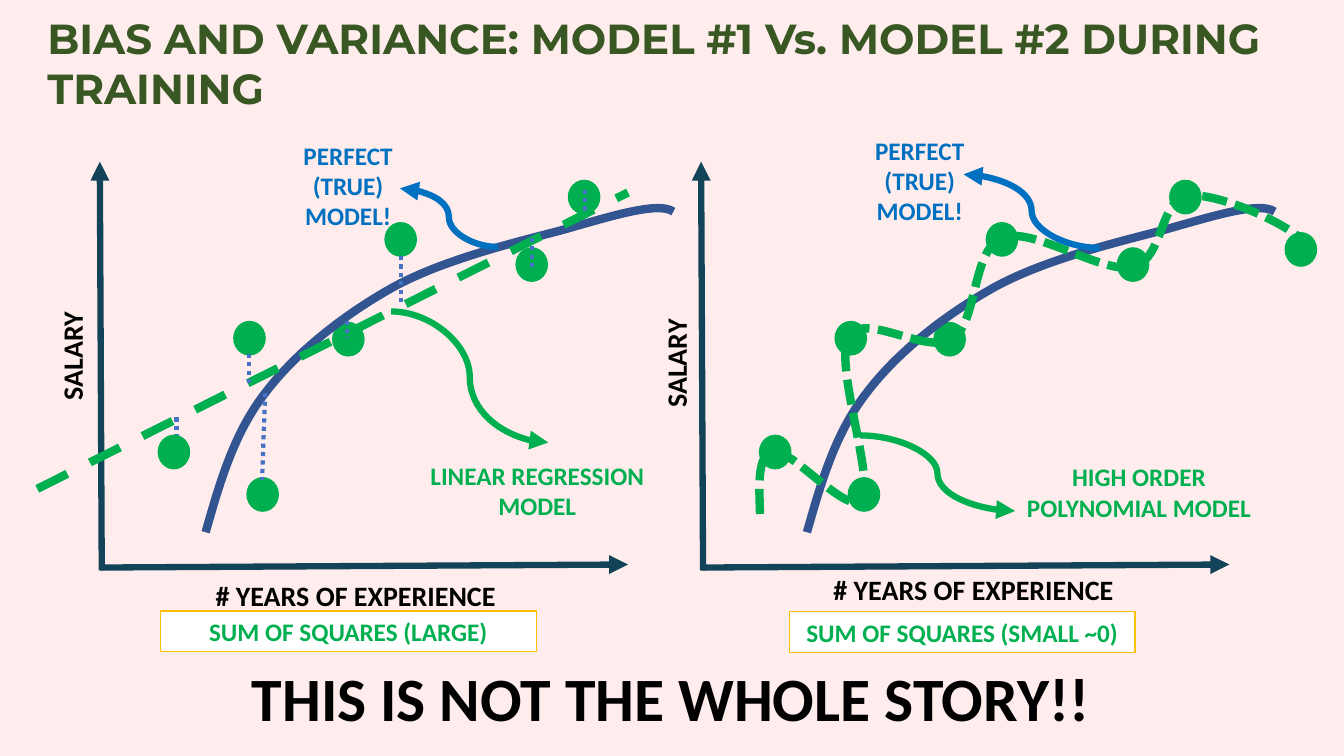
from dataclasses import dataclass

from lxml import etree
from pptx import Presentation
from pptx.dml.color import RGBColor
from pptx.enum import dml, shapes, text
from pptx.oxml.ns import qn
from pptx.util import Pt


@dataclass(frozen=True)
class Theme:
    background: str = "FFEDED"
    title: str = "385723"
    ink: str = "000000"
    axis: str = "124359"
    truth: str = "325491"
    note: str = "0070C0"
    model: str = "00B050"
    residual: str = "4472C4"
    badge_fill: str = "FFFFFF"
    badge_line: str = "FFC000"
    title_font: str = "Montserrat"
    body_font: str = "Calibri"
    title_size: int = 30
    axis_size: int = 20
    label_size: int = 18
    closing_size: int = 44
    curve_width: float = 6
    arrow_width: float = 4.5
    residual_width: float = 3
    outline_width: float = 1


THEME = Theme()
DASH = dml.MSO_LINE
PANEL_SHIFT = 429.5
DOT_SIZE = (22.3, 23.8)

TITLE = ("BIAS AND VARIANCE: MODEL #1 Vs. MODEL #2 DURING TRAINING",
         (26.6, 5, 933.8, 80))
CLOSING = ("THIS IS NOT THE WHOLE STORY!!", (172.8, 468, 619.2, 60.5))

# Shared geometry, in the coordinates of the left panel
AXES = [((71.3, 405.4), (448.6, 403.2)), ((72.7, 407.5), (71.3, 115.5))]
FIRST_DOT = (124.2, 322.9)
DOTS = [(187.6, 353.2), (178.2, 241.6), (248.8, 242.3), (286.2, 171),
        (379.8, 189), (417.2, 140.8)]
LAST_DOT = (499.7, 178.2)
# Curves: a start point, then two handles and an end point for each segment
TRUE_CURVE = [
    (146.9, 380.2),
    (157, 344.9), (167, 309.6), (189.4, 280.8),
    (211.7, 251.3), (246.2, 224.6), (280.8, 205.2),
    (316.1, 185.8), (366.5, 173.5), (399.6, 164.9),
    (433.4, 155.5), (470.2, 143.3), (481, 151.2),
]
POLYNOMIAL = [
    (542.9, 367.2),
    (542.2, 345.6), (540.7, 324), (553, 322.6),
    (565.2, 320.4), (607, 370.1), (615.6, 356.4),
    (625, 342.7), (595.4, 259.9), (606.2, 240.5),
    (617, 221.8), (662.4, 254.2), (680.4, 241.9),
    (698.4, 230.4), (694.1, 178.6), (715.7, 169.9),
    (737.3, 161.3), (787, 195.8), (809.3, 190.8),
    (831.6, 185), (828, 141.8), (848.9, 139.7),
    (870.5, 137.5), (926.6, 162), (935.3, 177.1),
]
REGRESSION = ((26.6, 349.2), (448.6, 137.5))
RESIDUALS = [
    ((177.8, 252.7), (177.8, 273.6)), ((189.4, 280.8), (187.2, 342.7)),
    ((286.6, 182.9), (286.6, 218.2)), ((247.7, 229), (247.7, 241.2)),
    ((126, 298.1), (126, 319)), ((380.2, 169.9), (380.2, 190.8)),
    ((417.6, 135.4), (417.6, 152.6)),
]

PANELS = [
    {
        "shift": 0, "dots": DOTS,
        "experience": (146.9, 409.7, 216, 31.5),
        "salary": (12.2, 238.3, 78.5, 31.5),
        "truth_note": (185, 96.5, 127.4, 72.7),
        "truth_arrow": ((355.7, 176.4), (285.8, 134.6)),
        "model": ("LINEAR REGRESSION MODEL", (295.2, 325.4, 177.1, 50.9)),
        "model_arrow": ((279.4, 222.5), (391.7, 316.1)),
        "badge": ("SUM OF SQUARES (LARGE)", (114.5, 436.5, 268.6, 29)),
    },
    {
        "shift": PANEL_SHIFT, "dots": DOTS + [LAST_DOT],
        "experience": (588.2, 405.4, 216, 31.5),
        "salary": (443.5, 243.4, 78.5, 31.5),
        "truth_note": (593.3, 92.9, 127.4, 72.7),
        "truth_arrow": ((785.5, 177.1), (688.3, 124.6)),
        "model": ("HIGH ORDER POLYNOMIAL MODEL", (725, 326.2, 177.1, 50.9)),
        "model_arrow": ((614.2, 311), (725, 365)),
        "badge": ("SUM OF SQUARES (SMALL ~0)", (563.8, 437, 247, 29)),
    },
]


def rgb(colour):
    return RGBColor.from_string(colour)


def move(points, shift):
    return [(x + shift, y) for x, y in points]


def write(shape, words, size, colour, centred=False, font=THEME.body_font):
    frame = shape.text_frame
    frame.word_wrap = True
    frame.text = words
    para = frame.paragraphs[0]
    para.alignment = text.PP_ALIGN.CENTER if centred else text.PP_ALIGN.LEFT
    span = para.runs[0].font
    span.name, span.size, span.bold = font, Pt(size), True
    span.color.rgb = rgb(colour)


def add_label(page, words, place, size, colour, centred=False):
    box = page.shapes.add_textbox(*map(Pt, place))
    write(box, words, size, colour, centred)
    return box


def style_line(line, colour, width, dash=None):
    line.color.rgb = rgb(colour)
    line.width = Pt(width)
    if dash is not None:
        line.dash_style = dash


def add_line(page, start, end, colour, width, dash=None, arrow=False,
             kind=shapes.MSO_CONNECTOR.STRAIGHT):
    link = page.shapes.add_connector(kind, *map(Pt, (*start, *end)))
    style_line(link.line, colour, width, dash)
    properties = link.element.spPr
    if arrow:
        etree.SubElement(properties.find(qn("a:ln")), qn("a:tailEnd"), type="triangle")
    etree.SubElement(properties, qn("a:effectLst"))


def add_curve(page, points, colour, dash=None):
    """Draw a freeform and turn each three of its steps into one Bezier segment."""
    builder = page.shapes.build_freeform(*map(Pt, points[0]))
    builder.add_line_segments([(Pt(x), Pt(y)) for x, y in points[1:]], close=False)
    curve = builder.convert_to_shape()
    curve.shadow.inherit = False
    curve.fill.background()
    style_line(curve.line, colour, THEME.curve_width, dash)
    outline = next(curve.element.iter(qn("a:path")))
    steps = outline.findall(qn("a:lnTo"))
    for first in range(0, len(steps), 3):
        segment = etree.SubElement(outline, qn("a:cubicBezTo"))
        for step in steps[first:first + 3]:
            segment.append(step[0])
            outline.remove(step)


def add_filled(page, kind, place, fill, line):
    shape = page.shapes.add_shape(kind, *map(Pt, place))
    shape.shadow.inherit = False
    shape.fill.solid()
    shape.fill.fore_color.rgb = rgb(fill)
    style_line(shape.line, line, THEME.outline_width)
    return shape


def add_dot(page, centre):
    width, height = DOT_SIZE
    place = (centre[0] - width / 2, centre[1] - height / 2, width, height)
    add_filled(page, shapes.MSO_SHAPE.OVAL, place, THEME.model, THEME.model)


def add_panel(page, panel):
    shift = panel["shift"]
    for axis in AXES:
        add_line(page, *move(axis, shift), THEME.axis, THEME.arrow_width, arrow=True)
    for dot in move(panel["dots"], shift):
        add_dot(page, dot)
    add_label(page, "# YEARS OF EXPERIENCE", panel["experience"], THEME.axis_size, THEME.ink)
    salary = add_label(page, "SALARY", panel["salary"], THEME.axis_size, THEME.ink)
    salary.rotation = 270
    add_curve(page, move(TRUE_CURVE, shift), THEME.truth)
    if shift:
        add_curve(page, POLYNOMIAL, THEME.model, DASH.SQUARE_DOT)
    else:
        add_line(page, *REGRESSION, THEME.model, THEME.curve_width, DASH.DASH)
        for residual in RESIDUALS:
            add_line(page, *residual, THEME.residual, THEME.residual_width, DASH.ROUND_DOT)
    add_dot(page, move([FIRST_DOT], shift)[0])

    notes = [("PERFECT (TRUE) MODEL!", panel["truth_note"], panel["truth_arrow"], THEME.note),
             (*panel["model"], panel["model_arrow"], THEME.model)]
    for words, place, arrow, colour in notes:
        add_line(page, *arrow, colour, THEME.arrow_width, arrow=True,
                 kind=shapes.MSO_CONNECTOR.CURVE)
        add_label(page, words, place, THEME.label_size, colour, centred=True)
    words, place = panel["badge"]
    badge = add_filled(page, shapes.MSO_SHAPE.RECTANGLE, place, THEME.badge_fill, THEME.badge_line)
    write(badge, words, THEME.label_size, THEME.model, centred=True)


def main():
    deck = Presentation()
    deck.slide_width, deck.slide_height = Pt(960), Pt(540)
    page = deck.slides.add_slide(deck.slide_layouts[5])
    page.background.fill.solid()
    page.background.fill.fore_color.rgb = rgb(THEME.background)
    words, place = TITLE
    title = page.shapes.title
    title.left, title.top, title.width, title.height = map(Pt, place)
    write(title, words, THEME.title_size, THEME.title, font=THEME.title_font)
    title.text_frame.vertical_anchor = text.MSO_ANCHOR.TOP
    title.text_frame.auto_size = text.MSO_AUTO_SIZE.NONE
    for panel in PANELS:
        add_panel(page, panel)
    add_label(page, *CLOSING, THEME.closing_size, THEME.ink)
    deck.save("out.pptx")


if __name__ == "__main__":
    main()
